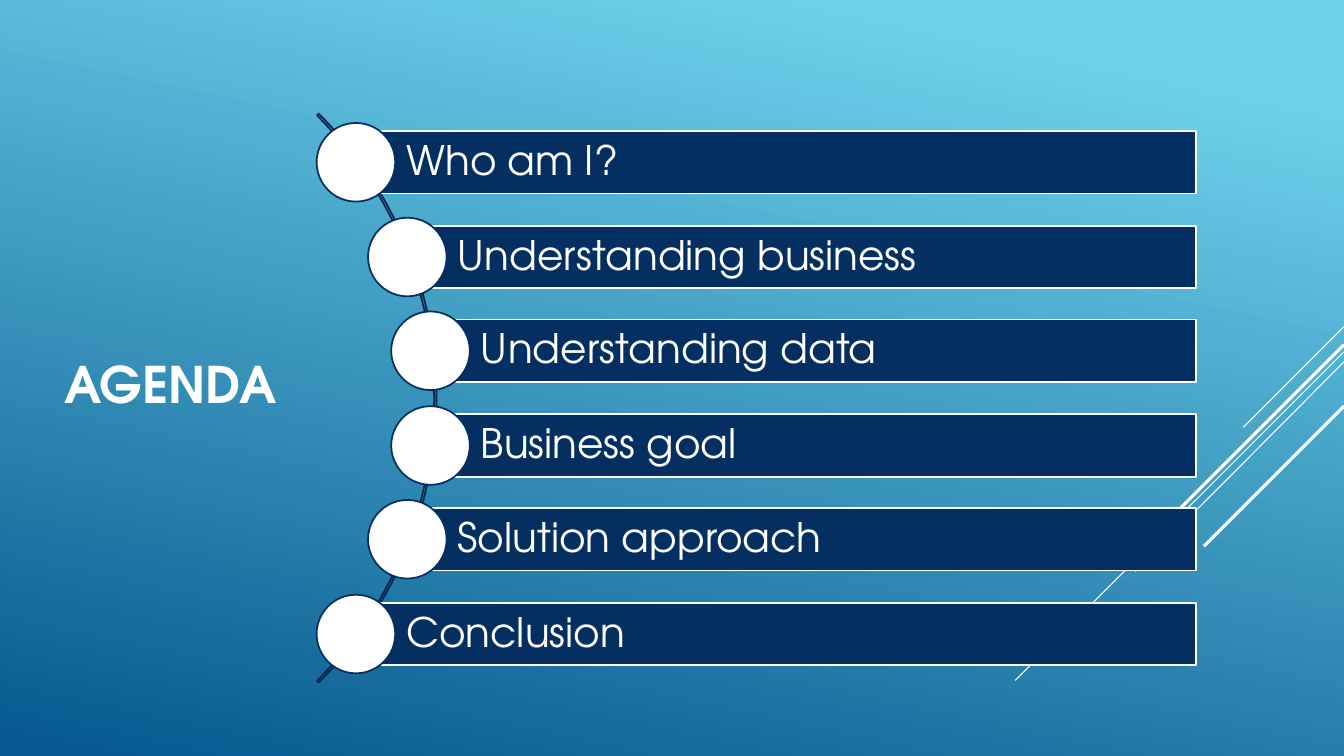
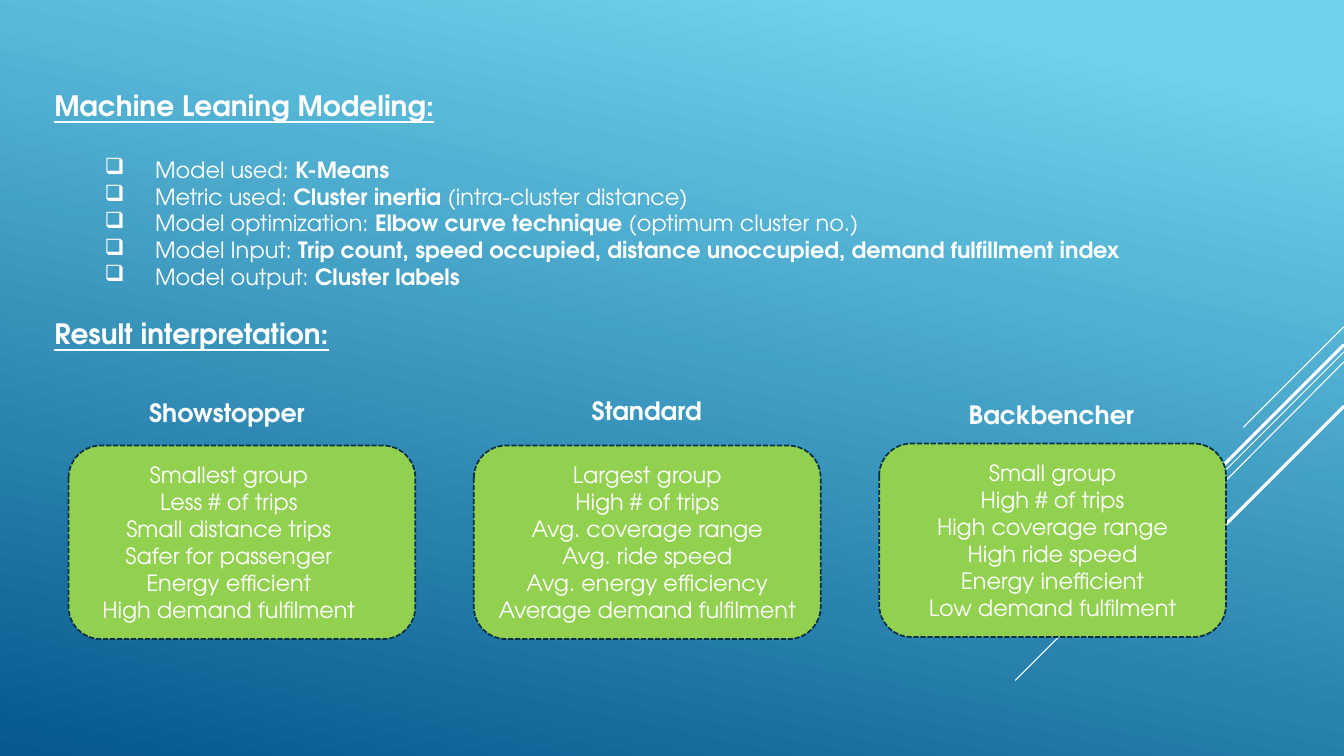
"""Build the agenda slide and the modelling results slide."""
from dataclasses import dataclass
from math import sqrt
from typing import NamedTuple

from lxml.etree import SubElement
from pptx import Presentation
from pptx.dml.color import RGBColor
from pptx.enum.dml import MSO_LINE
from pptx.enum.shapes import MSO_CONNECTOR, MSO_SHAPE
from pptx.enum.text import MSO_ANCHOR, PP_ALIGN
from pptx.oxml.ns import qn
from pptx.presentation import Presentation as Deck
from pptx.shapes.autoshape import Shape
from pptx.slide import Slide
from pptx.text.text import TextFrame, _Paragraph
from pptx.util import Emu, Pt

PX = 9144
COLORS = {
    "sky": "6ED2EB",
    "deep": "06588E",
    "white": "FFFFFF",
    "navy": "052F61",
    "arc": "04264E",
    "green": "92D050",
    "dash": "043148",
}
TITLE = {"size": Pt(36), "bold": True}
AGENDA = {"size": Pt(29), "bold": False}
HEADING = {"size": Pt(20), "bold": True, "underline": True}
LABEL = {"size": Pt(18), "bold": True}
BODY = {"size": Pt(16), "bold": False}
STRONG = {"size": Pt(16), "bold": True}


class Box(NamedTuple):
    left: int
    top: int
    width: int
    height: int


class Streak(NamedTuple):
    start_y: int
    end_x: int
    end_y: int
    weight: float


class Fact(NamedTuple):
    lead: str
    key: str
    tail: str = ""


@dataclass(frozen=True)
class Cluster:
    name: str
    name_box: Box
    left: int
    top: int
    traits_left: int
    traits: tuple[str, ...]


SLIDE_WIDTH, SLIDE_HEIGHT = 1333, 750
STREAKS = (
    Streak(324, 1233, 424, 0.75),
    Streak(349, 1007, 675, 0.75),
    Streak(359, 1126, 567, 0.75),
    Streak(342, 1142, 533, 2.25),
    Streak(403, 1194, 542, 2.25),
)
TOPICS = (
    "Who am I?",
    "Understanding business",
    "Understanding data",
    "Business goal",
    "Solution approach",
    "Conclusion",
)
FACTS = (
    Fact("Model used: ", "K-Means"),
    Fact("Metric used: ", "Cluster inertia ", "(intra-cluster distance)"),
    Fact("Model optimization: ", "Elbow curve technique ", "(optimum cluster no.)"),
    Fact("Model Input: ", "Trip count, speed occupied, distance unoccupied, demand fulfillment index"),
    Fact("Model output: ", "Cluster labels"),
)
CLUSTERS = (
    Cluster("Showstopper", Box(138, 389, 179, 40), 68, 442, 55, (
        "Smallest group", "Less # of trips", "Small distance trips",
        "Safer for passenger", "Energy efficient", "High demand fulfilment")),
    Cluster("Standard", Box(577, 387, 131, 40), 470, 442, 470, (
        "Largest group", "High # of trips", "Avg. coverage range",
        "Avg. ride speed", "Avg. energy efficiency", "Average demand fulfilment")),
    Cluster("Backbencher", Box(951, 391, 186, 40), 872, 440, 872, (
        "Small group", "High # of trips", "High coverage range",
        "High ride speed", "Energy inefficient", "Low demand fulfilment")),
)


def rgb(name: str) -> RGBColor:
    return RGBColor.from_string(COLORS[name])


def emu(box: Box) -> list[Emu]:
    return [Emu(length * PX) for length in box]


def add_run(paragraph: _Paragraph, text: str, style: dict) -> None:
    run = paragraph.add_run()
    run.text = text
    for key, value in {"name": "TeX Gyre Adventor", **style}.items():
        setattr(run.font, key, value)
    run.font.color.rgb = rgb("white")


def add_text(slide: Slide, box: Box, wrap: bool = True) -> TextFrame:
    frame = slide.shapes.add_textbox(*emu(box)).text_frame
    frame.word_wrap = wrap
    return frame


def add_shape(slide: Slide, kind: MSO_SHAPE, box: Box, fill: str | None, line: str) -> Shape:
    shape = slide.shapes.add_shape(kind, *emu(box))
    shape.shadow.inherit = False
    if fill:
        shape.fill.solid()
        shape.fill.fore_color.rgb = rgb(fill)
    else:
        shape.fill.background()
    shape.line.color.rgb = rgb(line)
    shape.line.width = Pt(1.25)
    return shape


def add_streak(slide: Slide, streak: Streak) -> None:
    ends = (SLIDE_WIDTH, streak.start_y, streak.end_x, streak.end_y)
    line = slide.shapes.add_connector(MSO_CONNECTOR.STRAIGHT, *(Emu(end * PX) for end in ends))
    line.line.color.rgb = rgb("white")
    line.line.width = Pt(streak.weight)
    SubElement(line._element.spPr, qn("a:effectLst"))


def paint_background(deck: Deck) -> None:
    fill = deck.slide_master.background.fill
    fill.gradient()
    fill.gradient_angle = 360 - 102
    for stop, (position, color) in zip(fill.gradient_stops, ((0.1, "sky"), (1, "deep"))):
        stop.position = position
        stop.color.rgb = rgb(color)


def new_slide(deck: Deck) -> Slide:
    slide = deck.slides.add_slide(deck.slide_layouts[6])
    for streak in STREAKS:
        add_streak(slide, streak)
    return slide


def add_topic(slide: Slide, index: int, topic: str) -> None:
    diameter, bar_height, bar_right = 78, 62, 1186
    offset = 93.6 * (index - (len(TOPICS) - 1) / 2)
    center_x = 35 + round(sqrt(395 ** 2 - offset ** 2))
    center_y = 395 + round(offset)
    bar_box = Box(center_x, center_y - bar_height // 2, bar_right - center_x, bar_height)
    bar = add_shape(slide, MSO_SHAPE.RECTANGLE, bar_box, "navy", "white")
    frame = bar.text_frame
    margins = {"margin_left": 50, "margin_top": 8, "margin_right": 8, "margin_bottom": 8}
    for key, value in margins.items():
        setattr(frame, key, Emu(value * PX))
    frame.vertical_anchor = MSO_ANCHOR.MIDDLE
    paragraph = frame.paragraphs[0]
    paragraph.alignment = PP_ALIGN.LEFT
    paragraph.line_spacing = 0.9
    add_run(paragraph, topic, AGENDA)
    radius = diameter // 2
    dot_box = Box(center_x - radius, center_y - radius, diameter, diameter)
    add_shape(slide, MSO_SHAPE.OVAL, dot_box, "white", "navy")


def build_agenda(deck: Deck) -> None:
    slide = new_slide(deck)
    title = add_text(slide, Box(54, 332, 266, 96))
    title.vertical_anchor = MSO_ANCHOR.MIDDLE
    add_run(title.paragraphs[0], "AGENDA", TITLE)
    arc = add_shape(slide, MSO_SHAPE.BLOCK_ARC, Box(-365, -4, 798, 798), None, "arc")
    for index, value in enumerate((189, 27, 0.003)):
        arc.adjustments[index] = value
    for index, topic in enumerate(TOPICS):
        add_topic(slide, index, topic)


def add_fact(frame: TextFrame, fact: Fact) -> None:
    paragraph = frame.add_paragraph()
    properties = paragraph._p.get_or_add_pPr()
    properties.set("marL", str(100 * PX))
    properties.set("indent", str(-50 * PX))
    SubElement(properties, qn("a:buChar"), char="❑")
    for text, style in zip(fact, (BODY, STRONG, BODY)):
        if text:
            add_run(paragraph, text, style)


def add_cluster(slide: Slide, cluster: Cluster) -> None:
    card_box = Box(cluster.left, cluster.top, 344, 192)
    card = add_shape(slide, MSO_SHAPE.ROUNDED_RECTANGLE, card_box, "green", "dash")
    card.line.dash_style = MSO_LINE.SQUARE_DOT
    name = add_text(slide, cluster.name_box, wrap=False)
    add_run(name.paragraphs[0], cluster.name, LABEL)
    frame = add_text(slide, Box(cluster.traits_left, cluster.top + 11, 344, 172))
    for index, trait in enumerate(cluster.traits):
        paragraph = frame.add_paragraph() if index else frame.paragraphs[0]
        paragraph.alignment = PP_ALIGN.CENTER
        add_run(paragraph, trait, BODY)


def build_modeling(deck: Deck) -> None:
    slide = new_slide(deck)
    frame = add_text(slide, Box(44, 83, 1267, 273))
    modeling = frame.paragraphs[0]
    modeling.space_after = Pt(24)
    add_run(modeling, "Machine Leaning Modeling:", HEADING)
    for fact in FACTS:
        add_fact(frame, fact)
    result = frame.add_paragraph()
    result.space_before = Pt(19)
    add_run(result, "Result interpretation:", HEADING)
    for cluster in CLUSTERS:
        add_cluster(slide, cluster)


def main() -> None:
    deck = Presentation()
    deck.slide_width = Emu(SLIDE_WIDTH * PX)
    deck.slide_height = Emu(SLIDE_HEIGHT * PX)
    paint_background(deck)
    build_agenda(deck)
    build_modeling(deck)
    deck.save("out.pptx")


if __name__ == "__main__":
    main()
